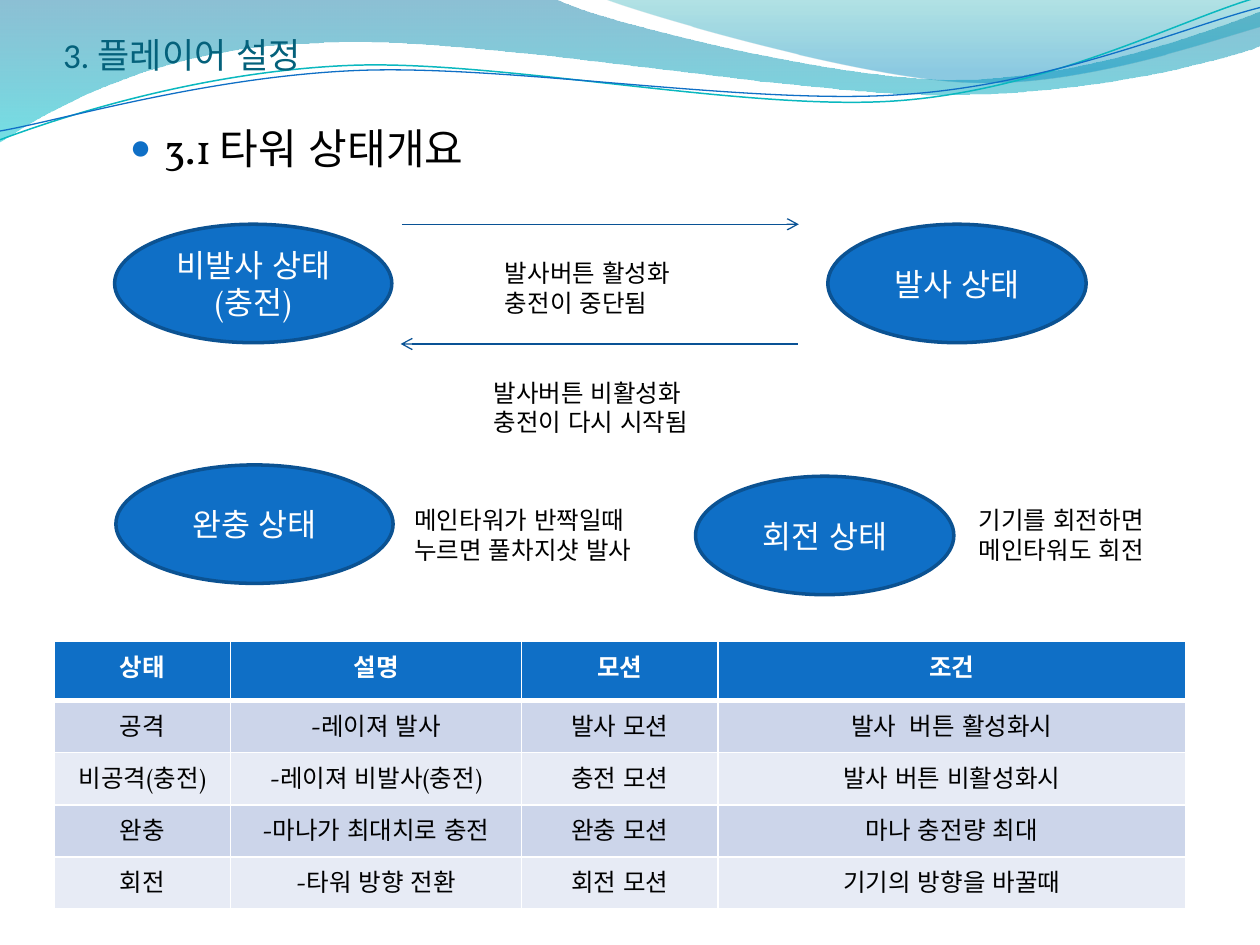
from lxml import etree
from pptx import Presentation
from pptx import util as u
from pptx.dml.color import RGBColor
from pptx.enum import lang, shapes, text
from pptx.oxml import parse_xml
from pptx.oxml.ns import nsdecls, qn

FONT, BLUE, EDGE, ARROW = "Vollkorn", "0F6FC6", "0B5292", "095295"
WHITE, BLACK = "FFFFFF", "000000"

TITLE = "3. 플레이어 설정"
HEADING = "3.1 타워 상태개요"

# Waves: a point is a straight step, six numbers are a Bezier curve
BANDS = [
    ([(0, 0), (4.4, -0.01), (4.76, 0.17, 6.64, 0.63, 7.58, 0.63),
      (8.53, 0.63, 9.58, 0.26, 10, 0.09), (10.01, 0.36),
      (9.83, 0.44, 8.7, 0.76, 7.46, 0.75), (6.22, 0.75, 3.82, 0.28, 2.57, 0.34),
      (1.29, 0.36, 0.46, 0.83, -0.01, 1.13), (0, 0)],
     [(0, "0074A1", 45), (100, "00C6CF", 55)]),
    ([(4.79, -0.01), (5.09, 0.11, 6.82, 0.62, 7.69, 0.65),
      (8.56, 0.69, 9.61, 0.32, 10, 0.21), (10, 0), (4.79, -0.01)],
     [(0, "00A1A9", 30), (80, "008BBF", 45)]),
]
STRANDS = [
    ([(0, 1.11), (0.48, 0.93, 1.58, 0.57, 2.77, 0.52),
      (3.95, 0.47, 5.93, 0.89, 7.13, 0.8), (8.33, 0.71, 9.38, 0.15, 9.98, -0.02)],
     "0AB8BF", 0.85),
    ([(0, 1.04), (0.47, 0.96, 1.64, 0.61, 2.83, 0.56),
      (4.03, 0.51, 5.97, 0.84, 7.17, 0.75), (8.36, 0.67, 9.41, 0.21, 10, 0.06)],
     BLUE, 0.75),
]

# Diagram: left, top, width, lines
STATES = [
    (0.91, 1.78, 2.2, ["비발사 상태", "(충전)"]),
    (6.57, 1.78, 2.05, ["발사 상태"]),
    (0.92, 3.69, 2.2, ["완충 상태"]),
    (5.52, 3.78, 2.05, ["회전 상태"]),
]
NOTES = [
    (3.91, 2, 1.63, ["발사버튼 활성화", "충전이 중단됨"]),
    (3.82, 2.95, 1.87, ["발사버튼 비활성화", "충전이 다시 시작됨"]),
    (7.67, 3.96, 1.63, ["기기를 회전하면", "메인타워도 회전"]),
    (3.19, 3.96, 2.07, ["메인타워가 반짝일때", "누르면 풀차지샷 발사"]),
]
ARROWS = [(3.19, 6.34, 1.78), (6.33, 3.18, 2.73)]

COLUMNS = [1.4, 2.31, 1.56, 3.71]
ROWS = [
    ["상태", "설명", "모션", "조건"],
    ["공격", "-레이져 발사", "발사 모션", "발사  버튼 활성화시"],
    ["비공격(충전)", "-레이져 비발사(충전)", "충전 모션", "발사 버튼 비활성화시"],
    ["완충", "-마나가 최대치로 충전", "완충 모션", "마나 충전량 최대"],
    ["회전", "-타워 방향 전환", "회전 모션", "기기의 방향을 바꿀때"],
]
HEADER_HEIGHT, ROW_HEIGHT = 0.47, 0.41


def rgb(value):
    return RGBColor.from_string(value)


def box(*lengths):
    return [u.Inches(length) for length in lengths]


def apply(target, values):
    for name, value in values.items():
        setattr(target, name, value)


def write(frame, lines, size, color, align=text.PP_ALIGN.LEFT, font=FONT, bold=False):
    frame.text = "\n".join(lines)
    for paragraph in frame.paragraphs:
        paragraph.alignment = align
        for run in paragraph.runs:
            apply(run.font, {"name": font, "size": u.Pt(size), "bold": bold,
                             "language_id": lang.MSO_LANGUAGE_ID.KOREAN})
            run.font.color.rgb = rgb(color)


def outline(shape, color, width):
    shape.line.color.rgb = rgb(color)
    shape.line.width = u.Pt(width)


def add_wave(slide, steps, closed):
    """Lay out every point, then join each three points of a curve into one Bezier."""
    points = [box(*step[i:i + 2]) for step in steps for i in range(0, len(step), 2)]
    builder = slide.shapes.build_freeform(*points[0], scale=1.0)
    builder.add_line_segments(points[1:], close=closed)
    shape = builder.convert_to_shape()
    segments = iter(list(shape.element.iter(qn("a:lnTo"))))
    for step in steps[1:]:
        segment = next(segments)
        if len(step) == 6:
            segment.tag = qn("a:cubicBezTo")
            for _ in range(2):
                extra = next(segments)
                segment.append(extra[0])
                extra.getparent().remove(extra)
    shape.shadow.inherit = False
    shape.fill.background()
    return shape


def fade(shape, stops):
    """Vertical gradient with opacity at each stop."""
    marks = "".join(
        f'<a:gs pos="{place * 1000}"><a:srgbClr val="{color}">'
        f'<a:alpha val="{opacity * 1000}"/></a:srgbClr></a:gs>'
        for place, color, opacity in stops)
    gradient = parse_xml(f'<a:gradFill {nsdecls("a")}><a:gsLst>{marks}</a:gsLst>'
                         '<a:lin ang="5400000" scaled="0"/></a:gradFill>')
    properties = shape.element.spPr
    properties.replace(properties.find(qn("a:noFill")), gradient)
    shape.line.fill.background()


def add_waves(slide):
    waves = []
    for steps, stops in BANDS:
        waves.append(add_wave(slide, steps, True))
        fade(waves[-1], stops)
    for steps, color, width in STRANDS:
        waves.append(add_wave(slide, steps, False))
        outline(waves[-1], color, width)
    for depth, wave in enumerate(waves, 2):  # behind the placeholders
        slide.shapes.element.insert(depth, wave.element)


def add_headings(slide):
    title, body = slide.placeholders
    apply(title, dict(zip(("left", "top", "width", "height"), box(0.5, 0, 9, 0.6))))
    apply(title.text_frame, {
        "margin_left": 0, "margin_right": 0, "margin_bottom": 0,
        "margin_top": u.Inches(0.05), "vertical_anchor": text.MSO_ANCHOR.BOTTOM,
        "auto_size": text.MSO_AUTO_SIZE.NONE})
    write(title.text_frame, [TITLE], 20, "04617B", font="Calibri")

    apply(body, dict(zip(("left", "top", "width", "height"), box(0.5, 0.92, 9, 5.78))))
    body.text_frame.auto_size = text.MSO_AUTO_SIZE.NONE
    write(body.text_frame, [HEADING], 24, BLACK)
    paragraph = body.text_frame.paragraphs[0]
    paragraph.level = 1
    properties = paragraph._p.get_or_add_pPr()
    properties.set("marL", str(u.Inches(0.7)))
    properties.set("indent", str(u.Inches(-0.27)))
    for bullet in (f'<a:buClr {nsdecls("a")}><a:srgbClr val="{BLUE}"/></a:buClr>',
                   f'<a:buSzPct {nsdecls("a")} val="85000"/>',
                   f'<a:buChar {nsdecls("a")} char="●"/>'):
        properties.append(parse_xml(bullet))


def add_table(slide):
    heights = [HEADER_HEIGHT] + [ROW_HEIGHT] * (len(ROWS) - 1)
    table = slide.shapes.add_table(len(ROWS), len(COLUMNS), *box(
        0.43, 5.09, sum(COLUMNS), sum(heights))).table
    for column, width in zip(table.columns, COLUMNS):
        column.width = u.Inches(width)
    for r, (row, height) in enumerate(zip(ROWS, heights)):
        table.rows[r].height = u.Inches(height)
        header = r == 0
        fill = BLUE if header else ("E7EBF5", "CCD5EA")[r % 2]
        for c, words in enumerate(row):
            cell = table.cell(r, c)
            write(cell.text_frame, [words], 14, WHITE if header else BLACK,
                  text.PP_ALIGN.CENTER, bold=header)
            for side in "LRTB":
                thick = (header and side == "B") or (r == 1 and side == "T")
                cell._tc.get_or_add_tcPr().append(parse_xml(
                    f'<a:ln{side} {nsdecls("a")} w="{u.Pt(3 if thick else 1)}"><a:solidFill>'
                    f'<a:srgbClr val="{WHITE}"/></a:solidFill></a:ln{side}>'))
            cell.fill.solid()
            cell.fill.fore_color.rgb = rgb(fill)


def add_diagram(slide):
    for left, top, width, lines in STATES:
        state = slide.shapes.add_shape(shapes.MSO_SHAPE.OVAL, *box(left, top, width, 0.94))
        state.shadow.inherit = False
        state.fill.solid()
        state.fill.fore_color.rgb = rgb(BLUE)
        outline(state, EDGE, 2)
        state.text_frame.vertical_anchor = text.MSO_ANCHOR.MIDDLE
        write(state.text_frame, lines, 18, WHITE, text.PP_ALIGN.CENTER)
    for start, end, y in ARROWS:
        arrow = slide.shapes.add_connector(
            shapes.MSO_CONNECTOR.STRAIGHT, *box(start, y, end, y))
        outline(arrow, ARROW, 0.75)
        etree.SubElement(arrow.line._get_or_add_ln(), qn("a:tailEnd"), type="arrow")
        etree.SubElement(arrow.element.spPr, qn("a:effectLst"))
    for left, top, width, lines in NOTES:
        frame = slide.shapes.add_textbox(*box(left, top, width, 0.57)).text_frame
        apply(frame, {"word_wrap": False, "auto_size": text.MSO_AUTO_SIZE.SHAPE_TO_FIT_TEXT})
        write(frame, lines, 14, BLACK)


def main():
    presentation = Presentation()
    apply(presentation, {"slide_width": u.Inches(10), "slide_height": u.Inches(7.5)})
    slide = presentation.slides.add_slide(presentation.slide_layouts[1])
    add_waves(slide)
    add_headings(slide)
    add_table(slide)
    add_diagram(slide)
    presentation.save("out.pptx")


if __name__ == "__main__":
    main()
